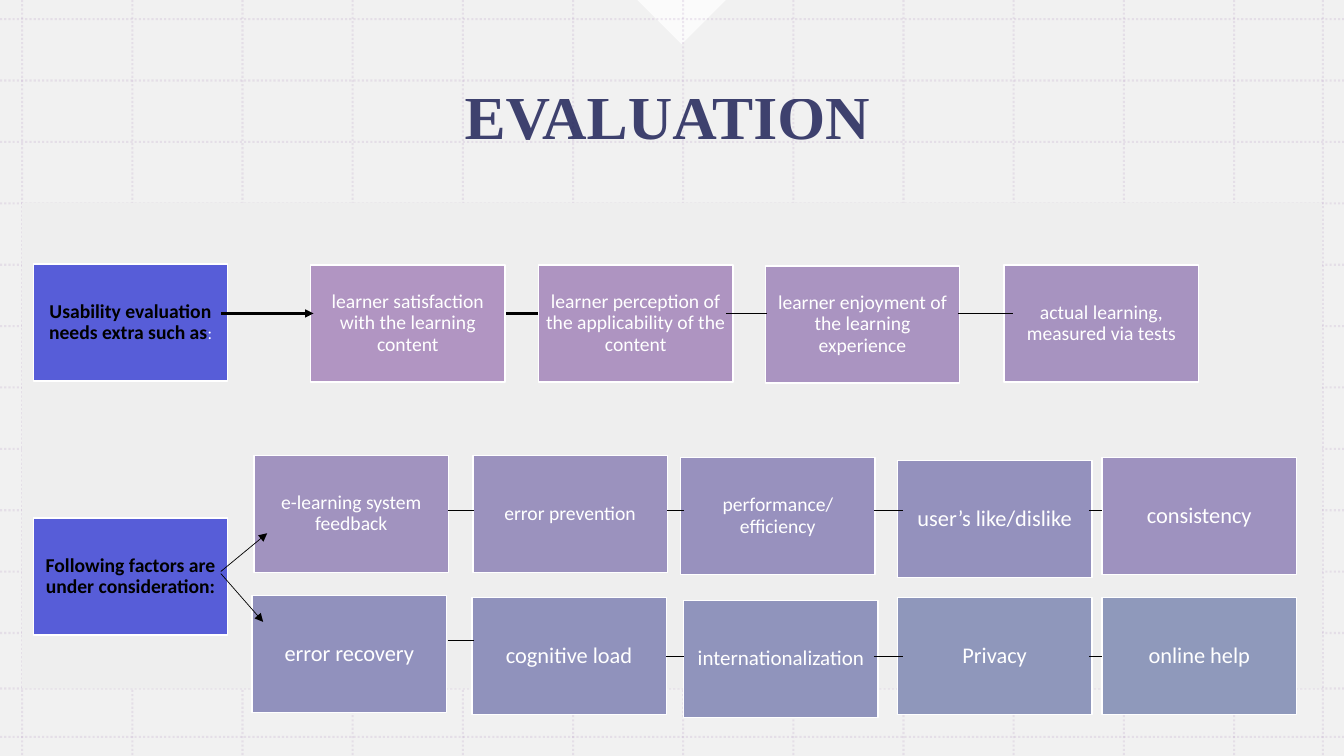
from pptx import Presentation
from pptx.dml.color import RGBColor
from pptx.enum.dml import MSO_LINE
from pptx.enum.shapes import MSO_CONNECTOR, MSO_SHAPE
from pptx.enum.text import MSO_ANCHOR, PP_ALIGN
from pptx.oxml.ns import qn
from pptx.util import Inches, Pt
from lxml import etree

RECT, CORNER = MSO_SHAPE.RECTANGLE, MSO_SHAPE.RIGHT_TRIANGLE
STRAIGHT, DOTS = MSO_CONNECTOR.STRAIGHT, MSO_LINE.ROUND_DOT
CENTER, MIDDLE = PP_ALIGN.CENTER, MSO_ANCHOR.MIDDLE
LEFT_SIDE, RIGHT_SIDE = 1, 3

# The slide is a grid of 1333 columns and 750 rows.
COLS, ROWS = 1333, 750
CELL = Inches(0.01)
CARD_W, CARD_H = 193, 116

COLORS = {
    "back": "F1F1F1", "panel": "EEEEEE", "grid": "B495C2",
    "title": "12154E", "lead": "575DD8", "white": "FFFFFF", "black": "000000",
}
LEAD_FONT = {"name": "Calibri", "size": Pt(14), "bold": True}
TITLE_FONT = {"name": "Times New Roman", "size": Pt(44), "bold": True}

# Each card: column, row, text size, fill, text
USABILITY = [
    (275, 1, 14, "B195C2", "learner satisfaction with the learning content"),
    (501, 1, 14, "AE94C1", "learner perception of the applicability of the content"),
    (726, 2, 14, "AA94C1", "learner enjoyment of the learning experience"),
    (963, 1, 14, "A793C0", "actual learning, measured via tests"),
]
FACTORS = [
    (219, 0, 14, "A193BF", "e-learning system feedback"),
    (1060, 2, 16, "9E92BF", "consistency"),
    (436, 0, 14, "9B92BE", "error prevention"),
    (642, 2, 14, "9891BE", "performance/efficiency"),
    (857, 5, 16, "9491BD", "user’s like/dislike"),
    (217, 139, 16, "9191BD", "error recovery"),
    (435, 141, 16, "9092BC", "cognitive load"),
    (645, 144, 15, "9094BC", "internationalization"),
    (857, 141, 16, "8F97BB", "Privacy"),
    (1060, 141, 16, "8F99BB", "online help"),
]
# Columns where the links between neighbouring factors start and end
GAPS = [(411, 437), (629, 645), (834, 863), (1047, 1060)]


def rgb(name):
    return RGBColor.from_string(COLORS.get(name, name))


def style(item, values):
    for name, value in values.items():
        setattr(item, name, value)


def fade(shape, share):
    """Make every colour of the shape share percent opaque."""
    for color in shape.element.iter(qn("a:srgbClr")):
        etree.SubElement(color, qn("a:alpha"), val=str(share * 1000))


def block(slide, kind, box, fill, edge=None):
    shape = slide.shapes.add_shape(kind, *(n * CELL for n in box))
    shape.shadow.inherit = False
    shape.fill.solid()
    shape.fill.fore_color.rgb = rgb(fill)
    if edge:
        shape.line.color.rgb = rgb(edge)
        shape.line.width = Pt(1)
    else:
        shape.line.fill.background()
    return shape


def link(slide, ends, color="black", width=0.5, arrow=False):
    line = slide.shapes.add_connector(STRAIGHT, *(round(n * CELL) for n in ends))
    line.line.color.rgb = rgb(color)
    line.line.width = Pt(width)
    if arrow:
        etree.SubElement(line.element.spPr.find(qn("a:ln")), qn("a:tailEnd"), type="triangle")
    etree.SubElement(line.element.spPr, qn("a:effectLst"))
    return line


def write(para, text, font, color):
    run = para.add_run()
    run.text = text
    style(run.font, font)
    run.font.color.rgb = rgb(color)


def card(slide, box, fill, text, font, color="white"):
    shape = block(slide, RECT, box, fill, "white")
    pad = Inches(0.07 if font["size"] == Pt(16) else 0.06)
    style(shape.text_frame, {
        "word_wrap": True, "vertical_anchor": MIDDLE, "margin_left": pad,
        "margin_right": pad, "margin_top": pad, "margin_bottom": pad,
    })
    para = shape.text_frame.paragraphs[0]
    style(para, {"alignment": CENTER, "line_spacing": 0.9})
    write(para, text, font, color)
    return shape


def cards(slide, box, items):
    """Place the cards in the box and return them by their text."""
    left, top = box[:2]
    return {
        text: card(slide, (left + col, top + row, CARD_W, CARD_H), fill, text,
                   {"name": "Calibri", "size": Pt(size)})
        for col, row, size, fill, text in items
    }


def join(slide, box, ends, **look):
    left, top = box[:2]
    x1, y1, x2, y2 = ends
    return link(slide, (left + x1, top + y1, left + x2, top + y2), **look)


def backdrop(slide, box):
    left, top, wide, high = box
    slide.background.fill.solid()
    slide.background.fill.fore_color.rgb = rgb("back")
    notch = block(slide, CORNER, (left + 645, top - 31, 62, 62), "white")
    notch.rotation = 315
    fade(notch, 75)
    down = [22 + 109.27 * n for n in range(12)] + [1312]
    across = [19 + 60.9 * n for n in range(11)] + [683, 731]
    ends = [(left + x, top, left + x, top + high) for x in down]
    ends += [(left, top + y, left + wide, top + y) for y in across]
    for end in ends:
        line = link(slide, end, "grid", 1.5)
        line.line.dash_style = DOTS
        fade(line, 20)


def heading(slide, box, text):
    title = slide.shapes.title
    slide.shapes._spTree.append(title.element)
    style(title, dict(zip(("left", "top", "width", "height"), (n * CELL for n in box))))
    style(title.text_frame, {"vertical_anchor": MIDDLE, "word_wrap": True})
    para = title.text_frame.paragraphs[0]
    style(para, {"alignment": CENTER, "line_spacing": 0.9})
    write(para, text, TITLE_FONT, "title")
    fade(title, 80)


def usability(slide, box):
    lead = card(slide, (*box[:2], CARD_W, CARD_H), "lead",
                "Usability evaluation needs extra such as", LEAD_FONT, "black")
    write(lead.text_frame.paragraphs[0], ":", {"name": "Calibri", "size": Pt(12)}, "white")
    cards(slide, box, USABILITY)
    join(slide, box, (186, 49, 278, 49), width=1.5, arrow=True)
    for start, end, width in [(469, 501, 1.5), (687, 728, 0.5), (917, 972, 0.5)]:
        join(slide, box, (start, 49, end, 49), width=width)


def factors(slide, box):
    left, top = box[:2]
    card(slide, (left, top + 62, CARD_W, CARD_H), "lead",
         "Following factors are under consideration:", LEAD_FONT, "black")
    made = cards(slide, box, FACTORS)
    for ends in [(186, 115, 232, 77), (186, 117, 228, 165)]:
        join(slide, box, ends, arrow=True)
    for start, end in GAPS:
        join(slide, box, (start, 54, end, 54))
    lower = [join(slide, box, (start, row, end, row))
             for (start, end), row in zip(GAPS, (183, 199, 199, 199))]
    lower[1].begin_connect(made["cognitive load"], RIGHT_SIDE)
    lower[3].end_connect(made["online help"], LEFT_SIDE)


def main():
    deck = Presentation()
    deck.slide_width, deck.slide_height = COLS * CELL, ROWS * CELL
    slide = deck.slides.add_slide(deck.slide_layouts[5])
    backdrop(slide, (0, 0, COLS, ROWS))
    block(slide, RECT, (22, 201, 1289, 482), "panel")
    heading(slide, (33, 37, 1258, 164), "EVALUATION")
    usability(slide, (33, 262, 1156, 118))
    factors(slide, (33, 452, 1253, 260))
    deck.save("out.pptx")


if __name__ == "__main__":
    main()
